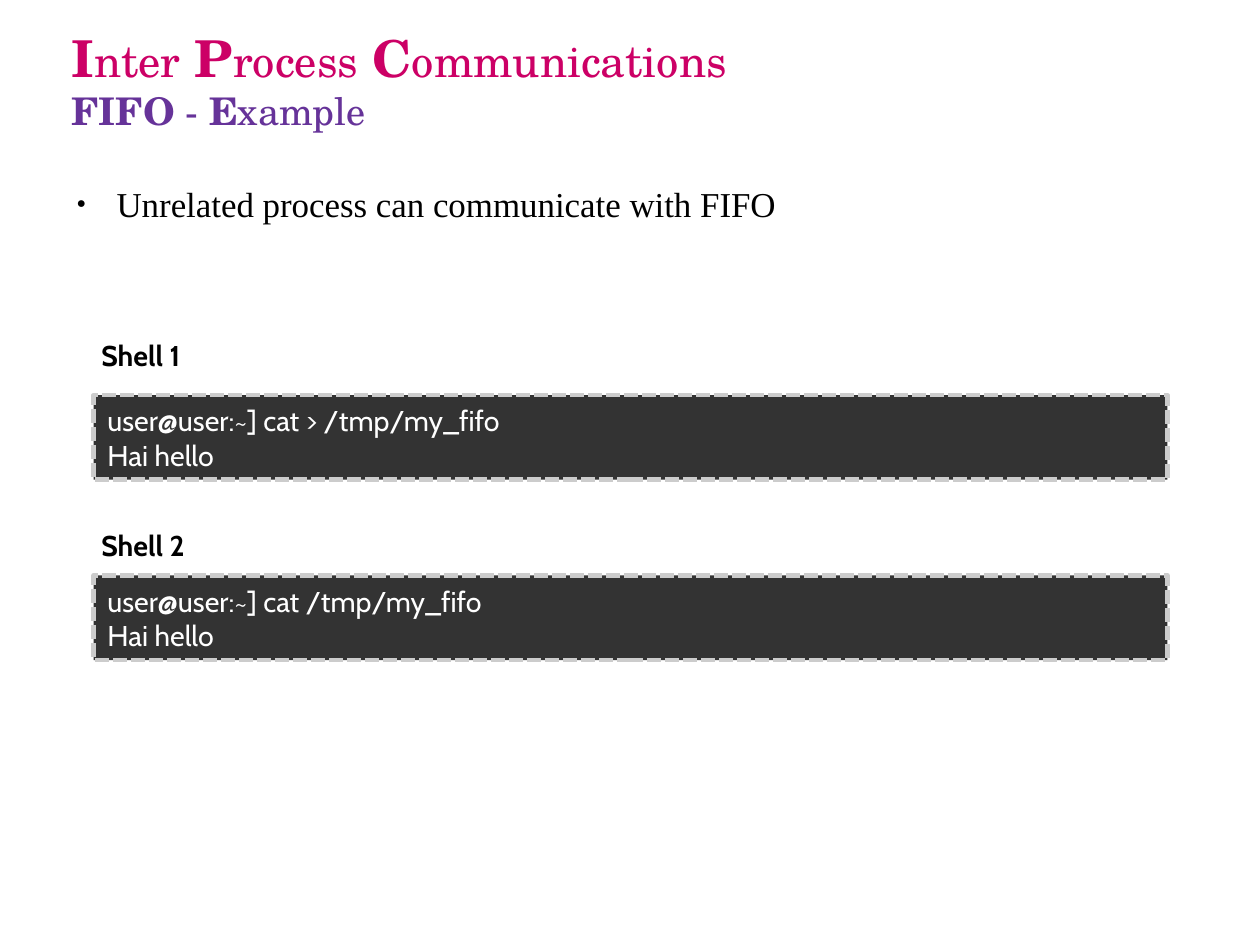
"""Build the FIFO example slide with two shell sessions."""
import dataclasses

import lxml.etree
import pptx
import pptx.dml.color
import pptx.enum.dml
import pptx.enum.shapes
import pptx.enum.text
import pptx.oxml.ns
import pptx.util

ANCHOR = pptx.enum.text.MSO_ANCHOR
FIT = pptx.enum.text.MSO_AUTO_SIZE


@dataclasses.dataclass(frozen=True)
class Theme:
    heading: str = "TeX Gyre Schola"
    body: str = "Times New Roman"
    shell: str = "Cabin"
    pink: str = "CC0066"
    purple: str = "663399"
    black: str = "000000"
    white: str = "FFFFFF"
    screen: str = "333333"
    border: str = "CCCCCC"
    capital_size: int = 32
    title_size: int = 28
    subtitle_size: int = 24
    body_size: int = 22
    shell_size: int = 18


THEME = Theme()
WIDTH, HEIGHT = pptx.util.Cm(28), pptx.util.Cm(21)
TITLE_AREA = (5.67, 0.14, 89.38, 16.69)
BODY_AREA = (4.99, 19.27, 90.02, 39.42)
LABEL_LEFT, LABEL_WIDTH, LABEL_HEIGHT = 7.15, 10.53, 5.32
SCREEN_LEFT, SCREEN_WIDTH, SCREEN_HEIGHT = 7.44, 85.21, 8.95
SESSIONS = [
    ("Shell 1", 35.12, 41.82, ["user@user:~] cat > /tmp/my_fifo", "Hai hello"]),
    ("Shell 2", 55.22, 60.9, ["user@user:~] cat /tmp/my_fifo", "Hai hello"]),
]


def shares(left, top, width, height):
    """Turn percentages of the slide into lengths."""
    return [int(share * side / 100) for share, side in
            zip((left, top, width, height), (WIDTH, HEIGHT) * 2)]


def place(shape, area):
    """Move a placeholder to an area of the slide."""
    for name, length in zip(("left", "top", "width", "height"), shares(*area)):
        setattr(shape, name, length)


def format_frame(frame, across, down, **values):
    """Set the margins and other values of a text frame."""
    across, down = pptx.util.Inches(across), pptx.util.Inches(down)
    values.update(margin_left=across, margin_right=across,
                  margin_top=down, margin_bottom=down)
    for name, value in values.items():
        setattr(frame, name, value)


def add_span(para, text, name, size, color, bold=False):
    """Add a formatted run to a paragraph."""
    span = para.add_run()
    span.text = text
    values = {"name": name, "size": pptx.util.Pt(size), "bold": bold}
    for key, value in values.items():
        setattr(span.font, key, value)
    span.font.color.rgb = pptx.dml.color.RGBColor.from_string(color)


def fill_title(box):
    """Write the two title lines with large bold capitals."""
    place(box, TITLE_AREA)
    format_frame(box.text_frame, 0, 0, word_wrap=True, auto_size=FIT.NONE,
                 vertical_anchor=ANCHOR.MIDDLE)
    para = box.text_frame.paragraphs[0]
    para.alignment = pptx.enum.text.PP_ALIGN.LEFT
    words = ["Inter", "Process", "Communications"]
    for position, word in enumerate(words):
        if position:
            add_span(para, " ", THEME.heading, THEME.capital_size, THEME.pink)
        add_span(para, word[0], THEME.heading, THEME.capital_size, THEME.pink, True)
        add_span(para, word[1:], THEME.heading, THEME.title_size, THEME.pink)
    para.add_line_break()
    for text, bold in [("FIFO", True), (" - ", False), ("E", True), ("xample", False)]:
        add_span(para, text, THEME.heading, THEME.subtitle_size, THEME.purple, bold)


def add_bullet(para):
    """Give a paragraph a small round bullet and a hanging indent."""
    properties = para._p.get_or_add_pPr()
    properties.set("marL", str(pptx.util.Inches(0.47)))
    properties.set("indent", str(pptx.util.Inches(-0.35)))
    qualify = pptx.oxml.ns.qn
    color = lxml.etree.SubElement(properties, qualify("a:buClr"))
    lxml.etree.SubElement(color, qualify("a:srgbClr"), val=THEME.black)
    lxml.etree.SubElement(properties, qualify("a:buSzPct"), val="45000")
    lxml.etree.SubElement(properties, qualify("a:buChar"), char="●")


def fill_body(box, text):
    """Write the bulleted statement."""
    place(box, BODY_AREA)
    format_frame(box.text_frame, 0, 0, word_wrap=True, auto_size=FIT.NONE,
                 vertical_anchor=ANCHOR.TOP)
    para = box.text_frame.paragraphs[0]
    add_bullet(para)
    para.space_before, para.space_after = pptx.util.Pt(0), pptx.util.Pt(14.2)
    add_span(para, text, THEME.body, THEME.body_size, THEME.black)


def add_label(page, text, top):
    """Add the bold name of a shell."""
    box = page.shapes.add_textbox(*shares(LABEL_LEFT, top, LABEL_WIDTH, LABEL_HEIGHT))
    format_frame(box.text_frame, 0.1, 0.05, word_wrap=True)
    add_span(box.text_frame.paragraphs[0], text, THEME.shell, THEME.shell_size,
             THEME.black, True)


def add_screen(page, lines, top):
    """Add a dark dashed box that shows shell lines."""
    box = page.shapes.add_shape(
        pptx.enum.shapes.MSO_SHAPE.RECTANGLE,
        *shares(SCREEN_LEFT, top, SCREEN_WIDTH, SCREEN_HEIGHT))
    box.shadow.inherit = False
    for paint, color in [(box.fill, THEME.screen), (box.line.fill, THEME.border)]:
        paint.solid()
        paint.fore_color.rgb = pptx.dml.color.RGBColor.from_string(color)
    box.line.width = pptx.util.Pt(2.83)
    box.line.dash_style = pptx.enum.dml.MSO_LINE.SQUARE_DOT
    frame = box.text_frame
    format_frame(frame, 0.12, 0.07, word_wrap=True, vertical_anchor=ANCHOR.MIDDLE)
    for position, line in enumerate(lines):
        para = frame.add_paragraph() if position else frame.paragraphs[0]
        para.alignment = pptx.enum.text.PP_ALIGN.LEFT
        add_span(para, line, THEME.shell, THEME.shell_size, THEME.white)


def main():
    """Build and save the deck."""
    deck = pptx.Presentation()
    deck.slide_width, deck.slide_height = WIDTH, HEIGHT
    page = deck.slides.add_slide(deck.slide_layouts[1])
    fill_title(page.shapes.title)
    fill_body(page.placeholders[1], "Unrelated process can communicate with FIFO")
    for name, label_top, screen_top, lines in SESSIONS:
        add_label(page, name, label_top)
        add_screen(page, lines, screen_top)
    deck.save("out.pptx")


if __name__ == "__main__":
    main()
